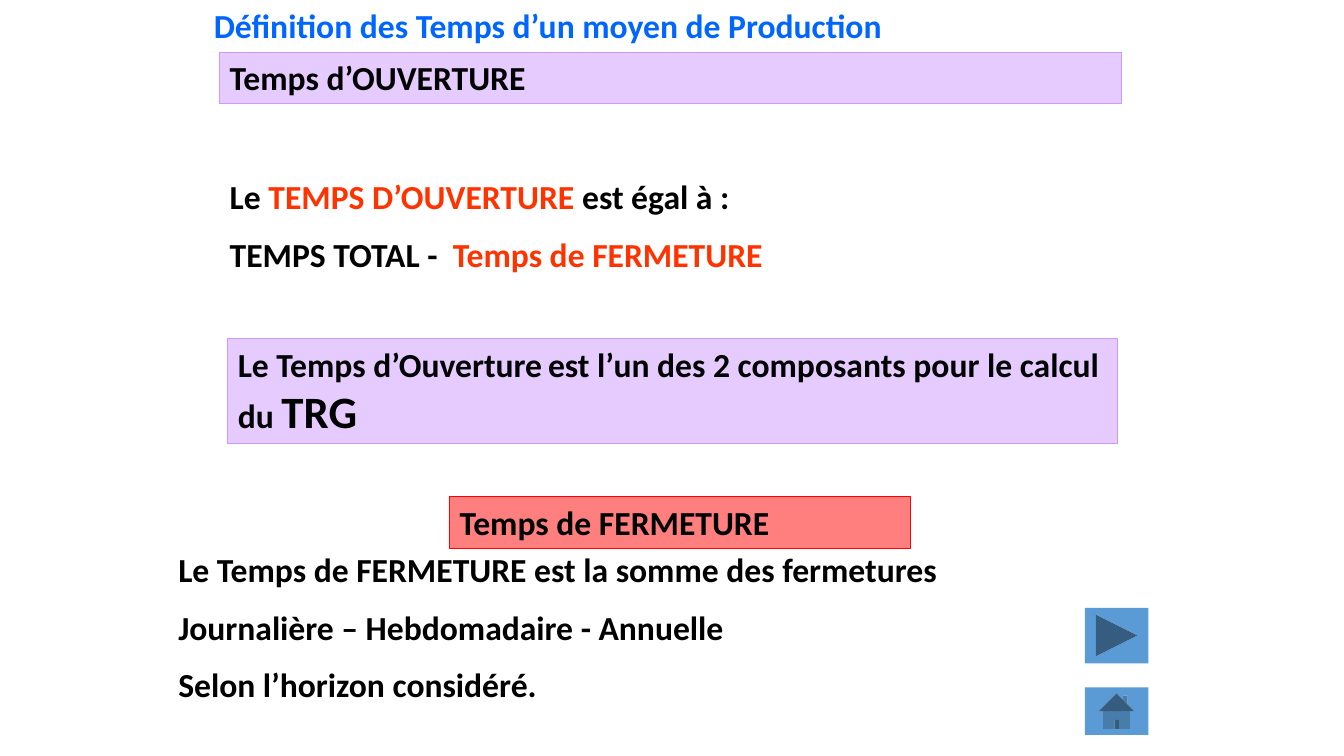
from pptx import Presentation
from pptx.dml.color import RGBColor
from pptx.enum.shapes import MSO_SHAPE as Preset
from pptx.enum.text import MSO_ANCHOR as Anchor, MSO_AUTO_SIZE as AutoSize, PP_ALIGN as Align
from pptx.oxml.ns import qn
from pptx.util import Inches, Pt
from lxml import etree

BLACK = RGBColor(0x00, 0x00, 0x00)
TITLE_BLUE = RGBColor(0x00, 0x66, 0xFF)
ACCENT_ORANGE = RGBColor(0xFF, 0x33, 0x00)
LILAC = RGBColor(0xCC, 0x99, 0xFF)
RED = RGBColor(0xFF, 0x00, 0x00)
BUTTON_BLUE = RGBColor(0x5B, 0x9B, 0xD5)

FONT_FORMAT = {"name": "Calibri", "size": Pt(24), "bold": True}
FRAME_FORMAT = {"word_wrap": True, "vertical_anchor": Anchor.TOP,
                "auto_size": AutoSize.SHAPE_TO_FIT_TEXT,
                "margin_left": Inches(0.1), "margin_right": Inches(0.1),
                "margin_top": Inches(0.05), "margin_bottom": Inches(0.05)}


def apply_format(target, values):
    for name, value in values.items():
        setattr(target, name, value)


def write_text(shape, paragraphs):
    """Each paragraph is a list of (text, colour, font changes) runs."""
    frame = shape.text_frame
    apply_format(frame, FRAME_FORMAT)
    for index, runs in enumerate(paragraphs):
        paragraph = frame.add_paragraph() if index else frame.paragraphs[0]
        apply_format(paragraph, {"alignment": Align.LEFT,
                                 "space_before": Pt(12 if index else 0)})
        for text, colour, changes in runs:
            run = paragraph.add_run()
            run.text = text
            apply_format(run.font, {**FONT_FORMAT, **changes})
            run.font.color.rgb = colour


def add_title(slide, box, text):
    title = slide.shapes.title
    apply_format(title, dict(zip(("left", "top", "width", "height"), map(Inches, box))))
    write_text(title, [[(text, TITLE_BLUE, {})]])


def add_text(slide, box, paragraphs):
    write_text(slide.shapes.add_textbox(*map(Inches, box)), paragraphs)


def add_filled_shape(slide, preset, box, colour):
    shape = slide.shapes.add_shape(preset, *map(Inches, box))
    shape.shadow.inherit = False
    shape.fill.solid()
    shape.fill.fore_color.rgb = colour
    shape.line.fill.background()
    return shape


def add_banner(slide, box, colour, runs):
    banner = add_filled_shape(slide, Preset.RECTANGLE, box, colour)
    # Half-transparent fill
    fill_colour = banner.fill._xPr.find(qn("a:solidFill"))[0]
    etree.SubElement(fill_colour, qn("a:alpha")).set("val", "50000")
    banner.line.color.rgb = colour
    banner.line.width = Pt(0.75)
    write_text(banner, [runs])


def main():
    presentation = Presentation()
    presentation.slide_width = Inches(13.33)
    presentation.slide_height = Inches(7.5)
    slide = presentation.slides.add_slide(presentation.slide_layouts[5])

    add_title(slide, (2.02, 0, 9.21, 0.5), "Définition des Temps d’un moyen de Production")

    # Opening time
    add_banner(slide, (2.18, 0.52, 8.94, 0.51), LILAC, [("Temps d’OUVERTURE", BLACK, {})])
    add_text(slide, (2.18, 1.7, 8.9, 1.11), [
        [("Le ", BLACK, {}), ("TEMPS D’OUVERTURE ", ACCENT_ORANGE, {}),
         ("est égal à :", BLACK, {})],
        [("TEMPS TOTAL -  ", BLACK, {}), ("Temps de FERMETURE", ACCENT_ORANGE, {})],
    ])
    add_banner(slide, (2.26, 3.36, 8.82, 1.04), LILAC, [
        ("Le Temps d’Ouverture", BLACK, {}),
        (" ", BLACK, {"size": Pt(18), "bold": False}),
        ("est l’un des 2 composants pour le calcul du ", BLACK, {}),
        ("TRG", BLACK, {"size": Pt(32)}),
    ])

    # Closing time
    add_banner(slide, (4.46, 4.93, 4.57, 0.51), RED, [("Temps de FERMETURE", BLACK, {})])
    closing_lines = ("Le Temps de FERMETURE est la somme des fermetures",
                     "Journalière – Hebdomadaire - Annuelle",
                     "Selon l’horizon considéré.")
    add_text(slide, (1.67, 5.4, 10, 1.72), [[(line, BLACK, {})] for line in closing_lines])

    # Navigation buttons
    for preset, top, height in ((Preset.ACTION_BUTTON_FORWARD_OR_NEXT, 6.03, 0.55),
                                (Preset.ACTION_BUTTON_HOME, 6.82, 0.47)):
        add_filled_shape(slide, preset, (10.76, top, 0.63, height), BUTTON_BLUE)

    presentation.save("out.pptx")


if __name__ == "__main__":
    main()
